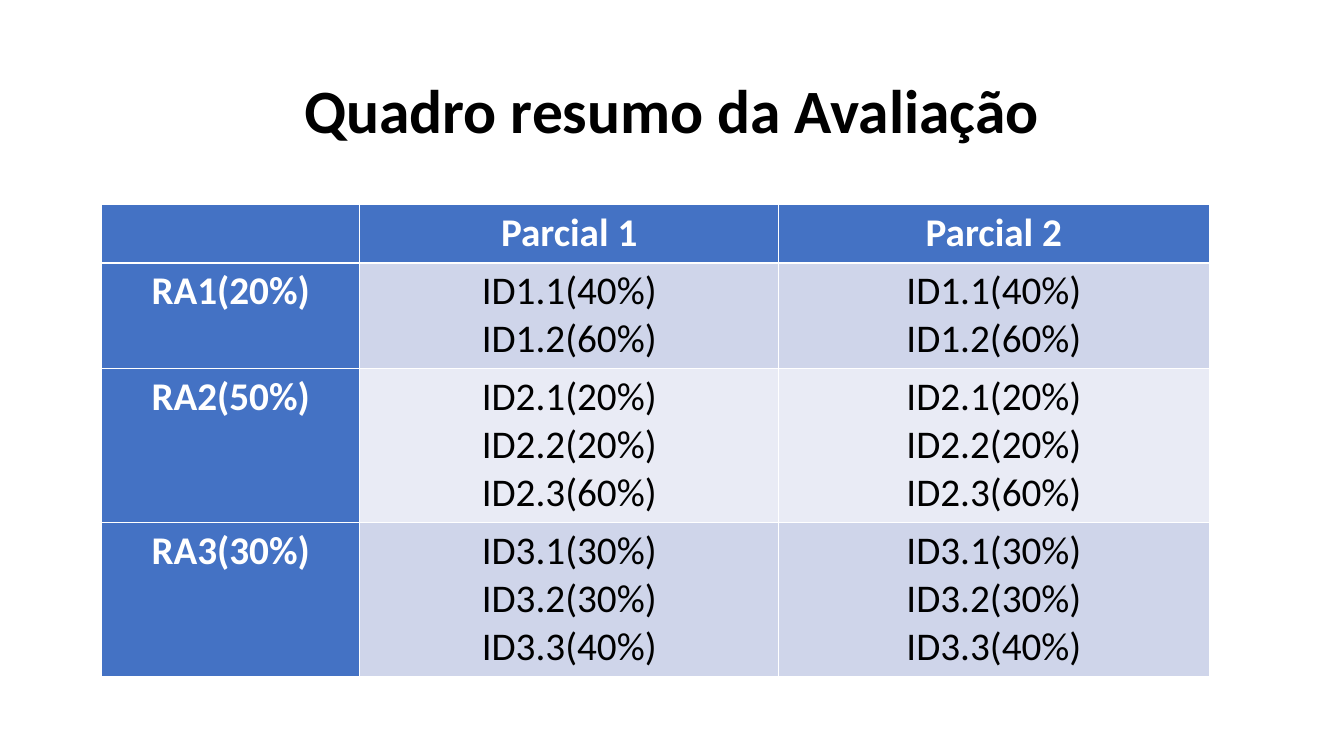
from lxml import etree
from pptx import Presentation
from pptx.dml.color import RGBColor
from pptx.enum import text
from pptx.oxml import ns
from pptx.util import Inches, Pt

BLACK = RGBColor(0x00, 0x00, 0x00)
WHITE = RGBColor(0xFF, 0xFF, 0xFF)
BLUE = RGBColor(0x44, 0x72, 0xC4)
BAND_DARK = RGBColor(0xCF, 0xD5, 0xEA)
BAND_LIGHT = RGBColor(0xE9, 0xEB, 0xF5)

COL_WIDTHS = [2.56, 4.16, 4.27]
ROW_HEIGHTS = [0.48, 0.95, 1.43, 1.43]
THIN, THICK = 0.45, 1.47

RESULTS = [
    ("RA1(20%)", ["ID1.1(40%)", "ID1.2(60%)"]),
    ("RA2(50%)", ["ID2.1(20%)", "ID2.2(20%)", "ID2.3(60%)"]),
    ("RA3(30%)", ["ID3.1(30%)", "ID3.2(30%)", "ID3.3(40%)"]),
]


def write(tf, lines, size=28, color=BLACK, bold=False, spacing=1.0):
    for i, line in enumerate(lines):
        p = tf.add_paragraph() if i else tf.paragraphs[0]
        p.alignment = text.PP_ALIGN.CENTER
        p.line_spacing = spacing
        r = p.add_run()
        r.text = line
        r.font.name = "Calibri"
        r.font.size = Pt(size)
        r.font.bold = bold
        r.font.color.rgb = color


def add_border(cell, side, width):
    tc_pr = cell._tc.get_or_add_tcPr()
    ln = etree.SubElement(tc_pr, ns.qn(f"a:ln{side}"), w=str(Pt(width)))
    fill = etree.SubElement(ln, ns.qn("a:solidFill"))
    etree.SubElement(fill, ns.qn("a:srgbClr"), val=str(WHITE))


prs = Presentation()
prs.slide_width = Inches(13.34)
prs.slide_height = Inches(7.5)
slide = prs.slides.add_slide(prs.slide_layouts[5])

title = slide.shapes.title
title.left, title.top = Inches(0.92), Inches(0.4)
title.width, title.height = Inches(11.5), Inches(1.45)
tf = title.text_frame
tf.auto_size = text.MSO_AUTO_SIZE.NONE
tf.vertical_anchor = text.MSO_ANCHOR.MIDDLE
write(tf, ["Quadro resumo da Avaliação"], size=44, bold=True, spacing=0.9)

rows = [[[], ["Parcial 1"], ["Parcial 2"]]]
rows += [[[result], indicators, indicators] for result, indicators in RESULTS]

table = slide.shapes.add_table(
    len(rows), len(COL_WIDTHS), Inches(1.01), Inches(2.03),
    Inches(sum(COL_WIDTHS)), Inches(sum(ROW_HEIGHTS))).table
for col, width in zip(table.columns, COL_WIDTHS):
    col.width = Inches(width)
for row, height in zip(table.rows, ROW_HEIGHTS):
    row.height = Inches(height)

for i, row in enumerate(rows):
    for j, lines in enumerate(row):
        cell = table.cell(i, j)
        cell.margin_left = cell.margin_right = Inches(0.08)
        cell.margin_top = cell.margin_bottom = Inches(0.05)
        add_border(cell, "L", THIN)
        add_border(cell, "R", THIN)
        add_border(cell, "T", THICK if i == 1 else THIN)
        add_border(cell, "B", THICK if i == 0 else THIN)
        heading = i == 0 or j == 0
        band = BAND_DARK if i % 2 else BAND_LIGHT
        cell.fill.solid()
        cell.fill.fore_color.rgb = BLUE if heading else band
        write(cell.text_frame, lines, color=WHITE if heading else BLACK, bold=heading)

prs.save("out.pptx")
